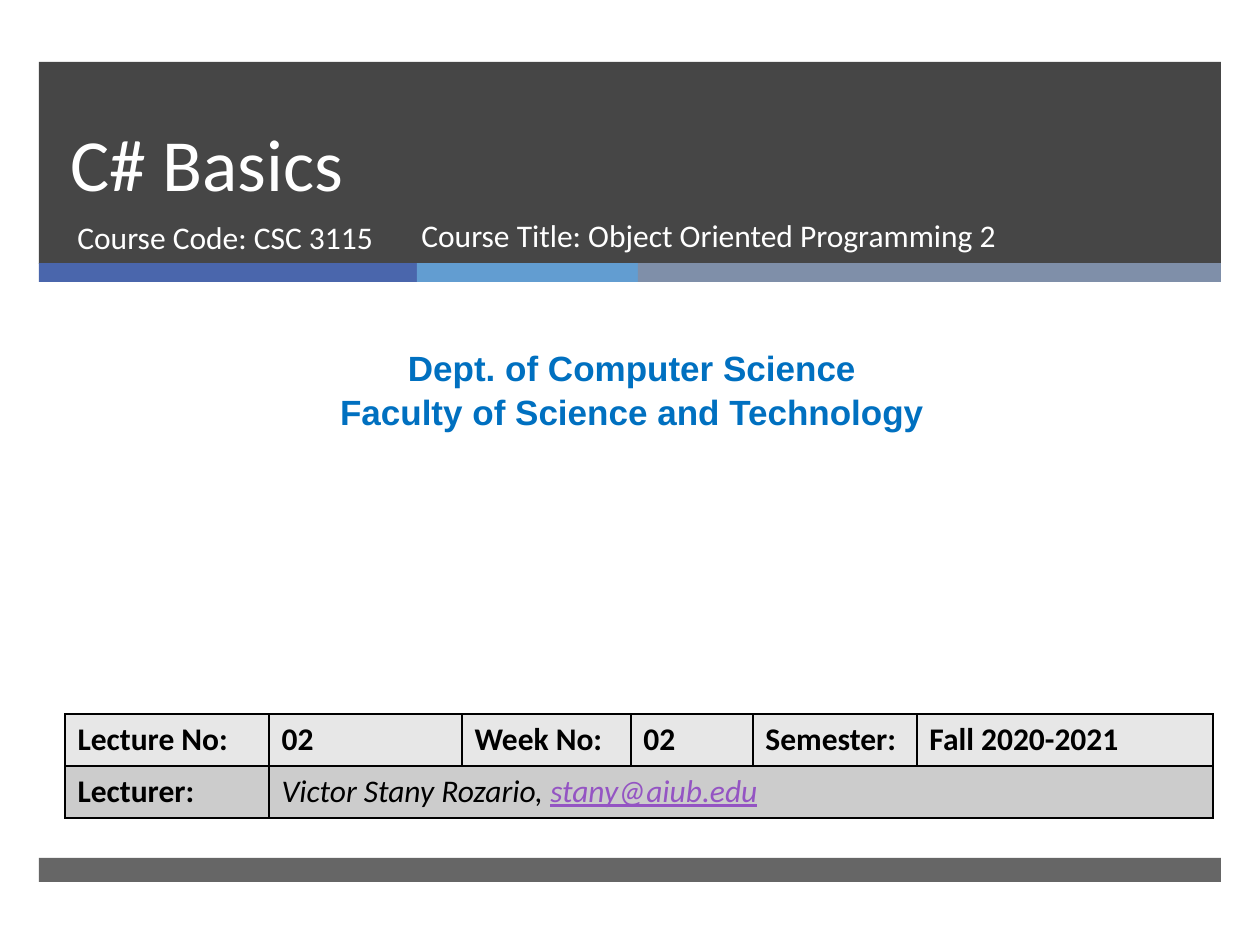
"""Build the opening slide of a C# lecture."""
from dataclasses import dataclass

from lxml import etree
from pptx import Presentation, util as u
from pptx.dml.color import RGBColor
from pptx.enum import shapes, text
from pptx.oxml import ns

EMU_PER_PX = 914400 / 126
COLORS = {
    "dark": "262626", "blue": "4A66AC", "sky": "629DD1", "slate": "7F8FA9",
    "white": "FFFFFF", "black": "000000", "heading": "0070C0",
    "light row": "E7E7E7", "dark row": "CCCCCC", "email": "9454C3",
}


@dataclass(frozen=True)
class Box:
    left: int
    top: int
    width: int
    height: int


@dataclass(frozen=True)
class Bar:
    box: Box
    color: str
    opacity: int = 100


@dataclass(frozen=True)
class Label:
    box: Box
    lines: tuple[str, ...]
    size: int = 18
    font: str = "Calibri"
    color: str = "white"
    bold: bool = False
    align: text.PP_ALIGN = text.PP_ALIGN.LEFT
    anchor: text.MSO_ANCHOR = text.MSO_ANCHOR.TOP
    spacing: float | u.Length | None = None


BARS = (
    Bar(Box(39, 62, 1182, 202), "dark", 85),
    Bar(Box(39, 263, 378, 19), "blue"),
    Bar(Box(417, 263, 221, 19), "sky"),
    Bar(Box(638, 263, 583, 19), "slate"),
    Bar(Box(39, 858, 1182, 24), "dark", 70),
)
LABELS = (
    Label(Box(58, 62, 1076, 150), ("C# Basics",), size=42,
          anchor=text.MSO_ANCHOR.BOTTOM, spacing=u.Pt(46)),
    Label(Box(65, 212, 384, 67), ("Course Code: CSC 3115",)),
    Label(Box(10, 338, 1244, 97),
          ("Dept. of Computer Science", "Faculty of Science and Technology"),
          size=20, font="Arial", color="heading", bold=True,
          align=text.PP_ALIGN.CENTER, spacing=1.05),
    Label(Box(409, 210, 644, 67), ("Course Title: Object Oriented Programming 2",)),
)
TABLE_BOX = Box(65, 714, 1148, 104)
COLUMN_WIDTHS = (204, 193, 169, 122, 164, 296)
ROWS = (
    ("Lecture No:", "02", "Week No:", "02", "Semester:", "Fall 2020-2021"),
    ("Lecturer:", "Victor Stany Rozario, "),
)
EMAIL = "stany@aiub.edu"


def px(length: int) -> u.Emu:
    """Turn pixels into EMU."""
    return u.Emu(round(length * EMU_PER_PX))


def place(box: Box) -> tuple[u.Emu, ...]:
    """Give the position and size of a box in EMU."""
    return px(box.left), px(box.top), px(box.width), px(box.height)


def rgb(name: str) -> RGBColor:
    """Look up a named colour."""
    return RGBColor.from_string(COLORS[name])


def style(run, size: int, font: str, color: str, bold: bool) -> None:
    """Set the character format of a run."""
    run.font.size = u.Pt(size)
    run.font.name = font
    run.font.bold = bold
    run.font.color.rgb = rgb(color)


def draw_bar(slide, bar: Bar) -> None:
    """Draw a borderless rectangle."""
    shape = slide.shapes.add_shape(shapes.MSO_SHAPE.RECTANGLE, *place(bar.box))
    shape.shadow.inherit = False
    shape.fill.solid()
    shape.fill.fore_color.rgb = rgb(bar.color)
    shape.line.fill.background()
    if bar.opacity < 100:
        color = shape.fill._xPr.find(".//" + ns.qn("a:srgbClr"))
        etree.SubElement(color, ns.qn("a:alpha"), val=str(bar.opacity * 1000))


def draw_label(slide, label: Label) -> None:
    """Draw a text box with one paragraph a line."""
    frame = slide.shapes.add_textbox(*place(label.box)).text_frame
    frame.word_wrap = True
    frame.vertical_anchor = label.anchor
    frame.text = "\n".join(label.lines)
    for paragraph in frame.paragraphs:
        paragraph.alignment = label.align
        paragraph.line_spacing = label.spacing
        for run in paragraph.runs:
            style(run, label.size, label.font, label.color, label.bold)


def add_borders(cell) -> None:
    """Give a cell a thin black line on each side."""
    properties = cell._tc.get_or_add_tcPr()
    for index, side in enumerate(("lnL", "lnR", "lnT", "lnB")):
        line = etree.Element(ns.qn(f"a:{side}"), w=str(u.Pt(1)))
        fill = etree.SubElement(line, ns.qn("a:solidFill"))
        etree.SubElement(fill, ns.qn("a:srgbClr"), val=COLORS["black"])
        properties.insert(index, line)


def draw_table(slide) -> None:
    """Draw the table of lecture details."""
    frame = slide.shapes.add_table(len(ROWS), len(COLUMN_WIDTHS), *place(TABLE_BOX))
    table = frame.table
    for column, width in zip(table.columns, COLUMN_WIDTHS):
        column.width = px(width)
    for row, fill in enumerate(("light row", "dark row")):
        for column in range(len(COLUMN_WIDTHS)):
            cell = table.cell(row, column)
            cell.fill.solid()
            cell.fill.fore_color.rgb = rgb(fill)
            add_borders(cell)
        for column, words in enumerate(ROWS[row]):
            cell = table.cell(row, column)
            cell.text_frame.text = words
            style(cell.text_frame.paragraphs[0].runs[0], 18, "Calibri", "black", True)
    lecturer = table.cell(1, 1)
    lecturer.merge(table.cell(1, len(COLUMN_WIDTHS) - 1))
    paragraph = lecturer.text_frame.paragraphs[0]
    email = paragraph.add_run()
    email.text = EMAIL
    style(email, 18, "Calibri", "email", False)
    email.font.underline = True
    for run in paragraph.runs:
        run.font.bold = False
        run.font.italic = True


def main() -> None:
    """Build and save the slide."""
    presentation = Presentation()
    presentation.slide_width, presentation.slide_height = px(1260), px(945)
    slide = presentation.slides.add_slide(presentation.slide_layouts[6])
    for bar in BARS:
        draw_bar(slide, bar)
    for label in LABELS:
        draw_label(slide, label)
    draw_table(slide)
    presentation.save("out.pptx")


if __name__ == "__main__":
    main()
